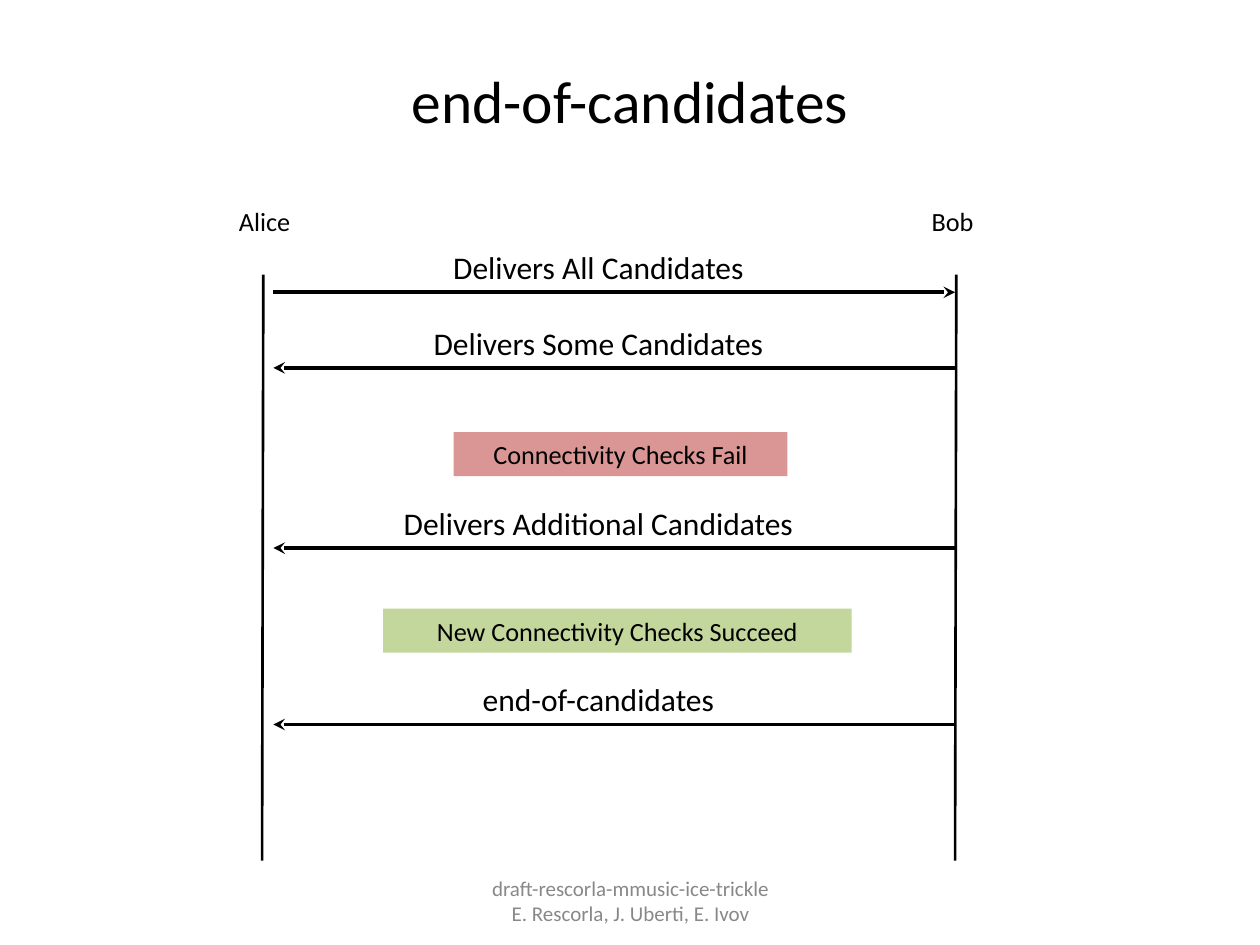
from lxml.etree import SubElement
from pptx import Presentation
from pptx.dml.color import RGBColor
from pptx.enum.shapes import MSO_CONNECTOR, MSO_SHAPE
from pptx.enum.text import MSO_ANCHOR, PP_ALIGN
from pptx.oxml.ns import qn
from pptx.util import Inches, Pt

TITLE = "end-of-candidates"
FOOTER = "draft-rescorla-mmusic-ice-trickle\nE. Rescorla, J. Uberti, E. Ivov"
ALICE_X, BOB_X = 2.08, 7.58
PARTICIPANTS = [("Alice", ALICE_X, 2.1), ("Bob", BOB_X, 7.56)]
MESSAGES = [
    ("Delivers All Candidates", 2.32, "to Bob"),
    ("Delivers Some Candidates", 2.92, "to Alice"),
    ("Delivers Additional Candidates", 4.35, "to Alice"),
    ("end-of-candidates", 5.75, "to Alice"),
]
CHECKS = [
    ("Connectivity Checks Fail", 3.6, 3.43, 2.65, "D99694"),
    ("New Connectivity Checks Succeed", 3.04, 4.83, 3.72, "C3D69B"),
]
LIFELINE_TOP, LIFELINE_BOTTOM = 2.18, 6.83
ARROW_LEFT = 2.17


def color(value):
    """Turn a hex string into a colour."""
    return RGBColor.from_string(value)


def write(shape, text, size=18, fill="000000", anchor=MSO_ANCHOR.TOP):
    """Put centred, formatted text into a shape."""
    frame = shape.text_frame
    frame.word_wrap = True
    frame.vertical_anchor = anchor
    paragraph = frame.paragraphs[0]
    paragraph.text = text
    paragraph.alignment = PP_ALIGN.CENTER
    for run in paragraph.runs:
        run.font.name = "Calibri"
        run.font.size = Pt(size)
        run.font.color.rgb = color(fill)


def add_text(slide, text, left, top, width, height, **style):
    """Add a text box with formatted text."""
    box = slide.shapes.add_textbox(*map(Inches, (left, top, width, height)))
    write(box, text, **style)


def add_line(slide, start, end, width, arrow=False):
    """Draw a black line, with an arrowhead at its end if wanted."""
    line = slide.shapes.add_connector(MSO_CONNECTOR.STRAIGHT, *map(Inches, start + end))
    line.line.color.rgb = color("000000")
    line.line.width = Pt(width)
    properties = line._element.spPr
    if arrow:
        SubElement(properties.find(qn("a:ln")), qn("a:tailEnd"), type="stealth")
    SubElement(properties, qn("a:effectLst"))


def add_check(slide, text, left, top, width, fill):
    """Add a coloured bar for the result of a check."""
    bar = slide.shapes.add_shape(MSO_SHAPE.RECTANGLE, *map(Inches, (left, top, width, 0.35)))
    bar.shadow.inherit = False
    bar.fill.solid()
    bar.fill.fore_color.rgb = color(fill)
    bar.line.fill.background()
    write(bar, text, size=15)


def main():
    """Build the sequence diagram slide."""
    presentation = Presentation()
    presentation.slide_width, presentation.slide_height = Inches(10), Inches(7.5)
    slide = presentation.slides.add_slide(presentation.slide_layouts[5])

    title = slide.shapes.title
    title.left, title.top, title.width, title.height = map(Inches, (0.5, 0.17, 9, 1.25))
    write(title, TITLE, size=34, anchor=MSO_ANCHOR.MIDDLE)
    add_text(slide, FOOTER, 3.42, 6.95, 3.17, 0.4,
             size=12, fill="888888", anchor=MSO_ANCHOR.MIDDLE)

    for name, x, label_center in PARTICIPANTS:
        add_line(slide, (x, LIFELINE_BOTTOM), (x + 0.01, LIFELINE_TOP), 1.5)
        add_text(slide, name, label_center - 0.52, 1.58, 1.04, 0.33, size=15)

    for text, y, direction in MESSAGES:
        start, end = (ARROW_LEFT, y), (BOB_X, y)
        if direction == "to Alice":
            start, end = end, start
        add_line(slide, start, end, 2.25, arrow=True)
        add_text(slide, text, 2.25, y - 0.4, 5, 0.4)

    for check in CHECKS:
        add_check(slide, *check)

    presentation.save("out.pptx")


if __name__ == "__main__":
    main()
